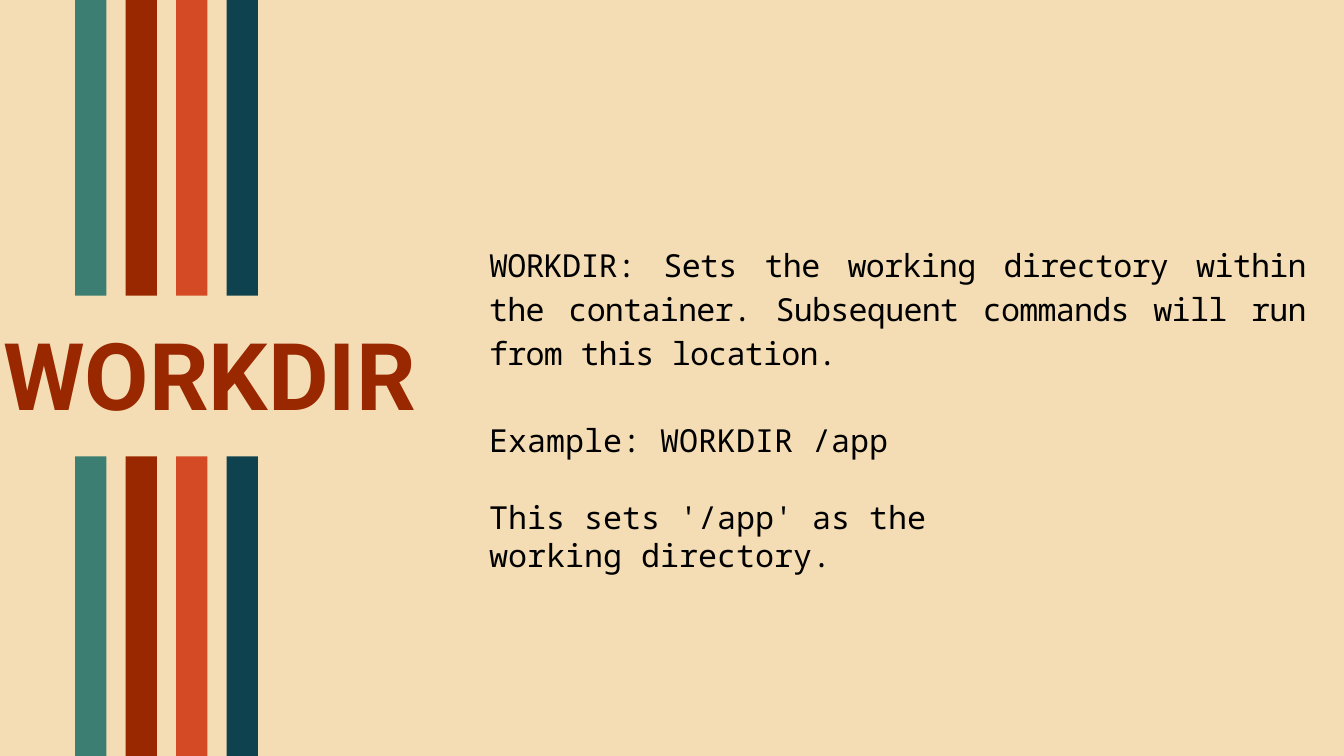
from dataclasses import dataclass

from pptx import Presentation
from pptx.dml.color import RGBColor
from pptx.enum.shapes import MSO_SHAPE
from pptx.enum.text import MSO_ANCHOR, MSO_AUTO_SIZE, PP_ALIGN
from pptx.shapes.autoshape import Shape
from pptx.slide import Slide
from pptx.util import Cm, Pt

WIDE, HIGH = 50.8, 28.58
COLORS = {
    "sand": "F4DDB4",
    "teal": "3C7E72",
    "rust": "992800",
    "coral": "D34A24",
    "navy": "0F424F",
    "black": "000000",
}
STRIPES = ("teal", "rust", "coral", "navy")
LEFT, BAR, STEP = 2.84, 1.18, 1.91


@dataclass
class Box:
    left: float
    top: float
    width: float
    height: float


@dataclass
class Style:
    font: str
    size: float
    color: str
    bold: bool = False
    track: int = 0  # letter spacing in hundredths of a point


BANDS = (Box(LEFT, 0, BAR, 11.18), Box(LEFT, 17.25, BAR, HIGH - 17.25))
HEAD = Style("Roboto", 100, "rust", bold=True)
MONO = Style("Noto Sans Mono", 34, "black")
TIGHT = Style("Noto Sans Mono", 34, "black", track=-80)


def color(name: str) -> RGBColor:
    return RGBColor.from_string(COLORS[name])


def place(shape: Shape, box: Box) -> None:
    shape.left, shape.top = Cm(box.left), Cm(box.top)
    shape.width, shape.height = Cm(box.width), Cm(box.height)


def draw_band(slide: Slide, band: Box) -> None:
    """Draw one row of upright stripes, starting at the band's left edge."""
    for i, name in enumerate(STRIPES):
        bar = slide.shapes.add_shape(
            MSO_SHAPE.RECTANGLE, Cm(band.left + i * STEP), Cm(band.top),
            Cm(band.width), Cm(band.height))
        bar.shadow.inherit = False
        bar.fill.solid()
        bar.fill.fore_color.rgb = color(name)
        bar.line.fill.background()


def write(shape: Shape, lines: list[str], style: Style,
          align: PP_ALIGN = PP_ALIGN.LEFT, pitch: float = 1.0,
          gap: float = 0, right: float = 0) -> None:
    frame = shape.text_frame
    frame.text = "\n".join(lines)
    frame.word_wrap = True
    frame.auto_size = MSO_AUTO_SIZE.NONE
    frame.vertical_anchor = MSO_ANCHOR.TOP
    frame.margin_left = frame.margin_bottom = 0
    frame.margin_top, frame.margin_right = Cm(0.03), Cm(right)
    for i, para in enumerate(frame.paragraphs):
        para.alignment = align
        para.line_spacing = pitch
        para.space_before = Pt(gap if i else 0)
        for run in para.runs:
            run.font.name = style.font
            run.font.size = Pt(style.size)
            run.font.bold = style.bold
            run.font.color.rgb = color(style.color)
            if style.track:
                run._r.get_or_add_rPr().set("spc", str(style.track))


def add_text(slide: Slide, box: Box) -> Shape:
    shape = slide.shapes.add_textbox(0, 0, 0, 0)
    place(shape, box)
    return shape


def main() -> None:
    deck = Presentation()
    deck.slide_width, deck.slide_height = Cm(WIDE), Cm(HIGH)
    slide = deck.slides.add_slide(deck.slide_layouts[5])
    back = slide.background.fill
    back.solid()
    back.fore_color.rgb = color("sand")

    for band in BANDS:
        draw_band(slide, band)

    write(add_text(slide, Box(0.13, 11.98, 17.12, 4.29)), ["WORKDIR"], HEAD)

    title = slide.shapes.title
    place(title, Box(18.49, 9.02, 30.89, 5.05))
    write(title, ["WORKDIR: Sets the working directory within the container. "
                  "Subsequent commands will run from this location."],
          TIGHT, PP_ALIGN.JUSTIFY, pitch=1.16)

    write(add_text(slide, Box(18.49, 15.87, 22.35, 4.83)),
          ["Example: WORKDIR /app",
           "This sets '/app' as the working directory."],
          MONO, gap=42, right=0.5)

    deck.save("out.pptx")


if __name__ == "__main__":
    main()
